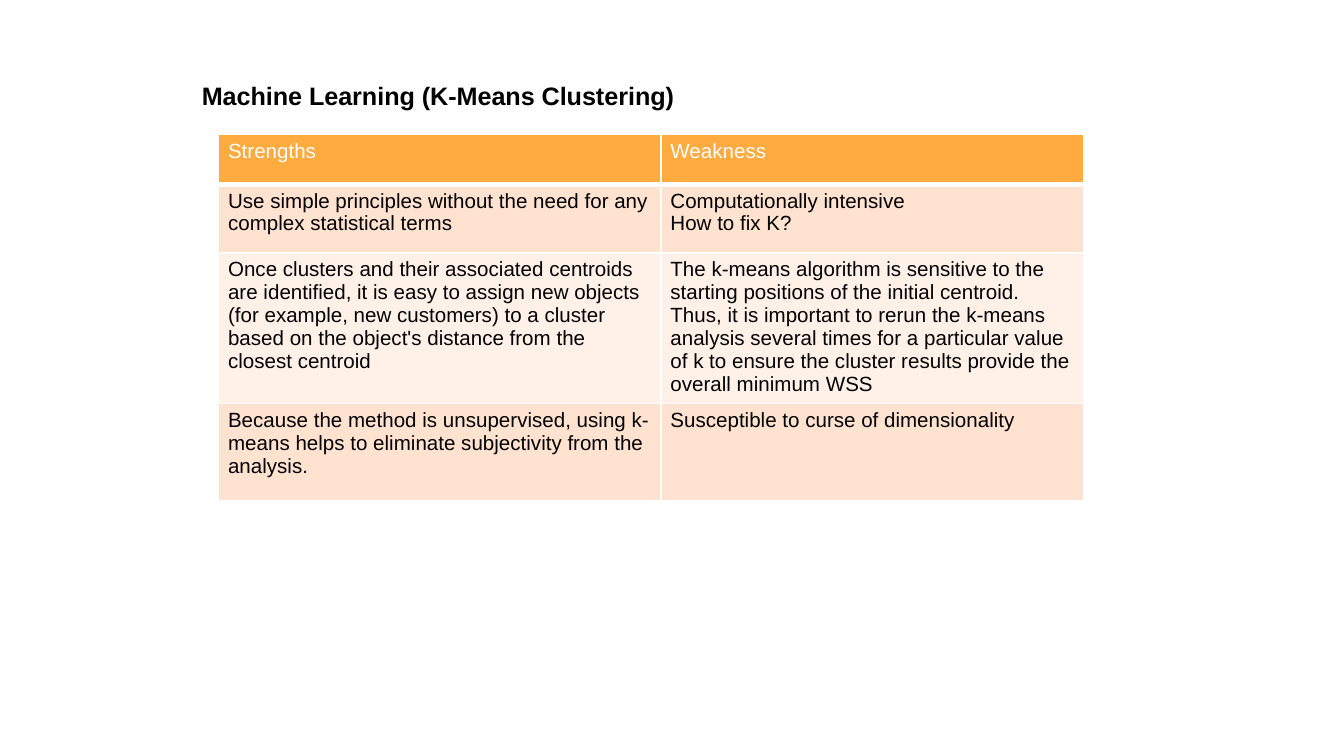
from lxml import etree
from pptx import Presentation
from pptx.dml.color import RGBColor
from pptx.enum.text import MSO_ANCHOR, PP_ALIGN
from pptx.oxml.ns import qn
from pptx.util import Cm, Pt

LEFT = PP_ALIGN.LEFT
MIDDLE = MSO_ANCHOR.MIDDLE

FONT = "Arial"
BLACK = RGBColor(0x00, 0x00, 0x00)
WHITE = RGBColor(0xFF, 0xFF, 0xFF)
ORANGE = RGBColor(0xFF, 0xAB, 0x40)
PEACH = RGBColor(0xFF, 0xE2, 0xCF)
PALE_PEACH = RGBColor(0xFF, 0xF1, 0xE8)

COLUMN_WIDTHS = [8.36, 8.0]
ROW_HEIGHTS = [0.94, 1.3, 2.84, 1.83]
ROW_FILLS = [ORANGE, PEACH, PALE_PEACH, PEACH]
COMPARISON = [
    ("Strengths", "Weakness"),
    ("Use simple principles without the need for any complex statistical terms",
     "Computationally intensive\nHow to fix K?"),
    ("Once clusters and their associated centroids are identified, it is easy to "
     "assign new objects (for example, new customers) to a cluster based on the "
     "object's distance from the closest centroid",
     "The k-means algorithm is sensitive to the starting positions of the initial "
     "centroid. Thus, it is important to rerun the k-means analysis several times "
     "for a particular value of k to ensure the cluster results provide the "
     "overall minimum WSS"),
    ("Because the method is unsupervised, using k-means helps to eliminate "
     "subjectivity from the analysis.",
     "Susceptible to curse of dimensionality"),
]


def format_text(text_frame, size, color, bold=False):
    for paragraph in text_frame.paragraphs:
        for run in paragraph.runs:
            run.font.name = FONT
            run.font.size = Pt(size)
            run.font.bold = bold
            run.font.color.rgb = color


def add_borders(cell, bottom_width):
    properties = cell._tc.get_or_add_tcPr()
    widths = {"a:lnL": 1, "a:lnR": 1, "a:lnT": 1, "a:lnB": bottom_width}
    for position, (side, width) in enumerate(widths.items()):
        line = etree.Element(qn(side), w=str(Pt(width)))
        fill = etree.SubElement(line, qn("a:solidFill"))
        etree.SubElement(fill, qn("a:srgbClr"), val=str(WHITE))
        properties.insert(position, line)


prs = Presentation()
prs.slide_width = Cm(25.4)
prs.slide_height = Cm(14.28)
slide = prs.slides.add_slide(prs.slide_layouts[5])

# Title
title = slide.shapes.title
title.left, title.top, title.width, title.height = Cm(3.56), Cm(1.37), Cm(17.55), Cm(0.86)
title.text_frame.text = "Machine Learning (K-Means Clustering)"
title.text_frame.vertical_anchor = MIDDLE
title.text_frame.paragraphs[0].alignment = LEFT
format_text(title.text_frame, 13.5, BLACK, bold=True)

# Strengths and weaknesses table
table = slide.shapes.add_table(
    len(COMPARISON), len(COLUMN_WIDTHS), Cm(4.13), Cm(2.54),
    Cm(sum(COLUMN_WIDTHS)), Cm(sum(ROW_HEIGHTS))).table
for column, width in zip(table.columns, COLUMN_WIDTHS):
    column.width = Cm(width)
for row, height in zip(table.rows, ROW_HEIGHTS):
    row.height = Cm(height)

for r, (texts, fill) in enumerate(zip(COMPARISON, ROW_FILLS)):
    is_header = r == 0
    for c, text in enumerate(texts):
        cell = table.cell(r, c)
        cell.text_frame.text = text
        cell.margin_left = cell.margin_right = Cm(0.18)
        cell.margin_top = cell.margin_bottom = Cm(0.1)
        cell.fill.solid()
        cell.fill.fore_color.rgb = fill
        add_borders(cell, 3 if is_header else 1)
        format_text(cell.text_frame, 11, WHITE if is_header else BLACK)

prs.save("out.pptx")
